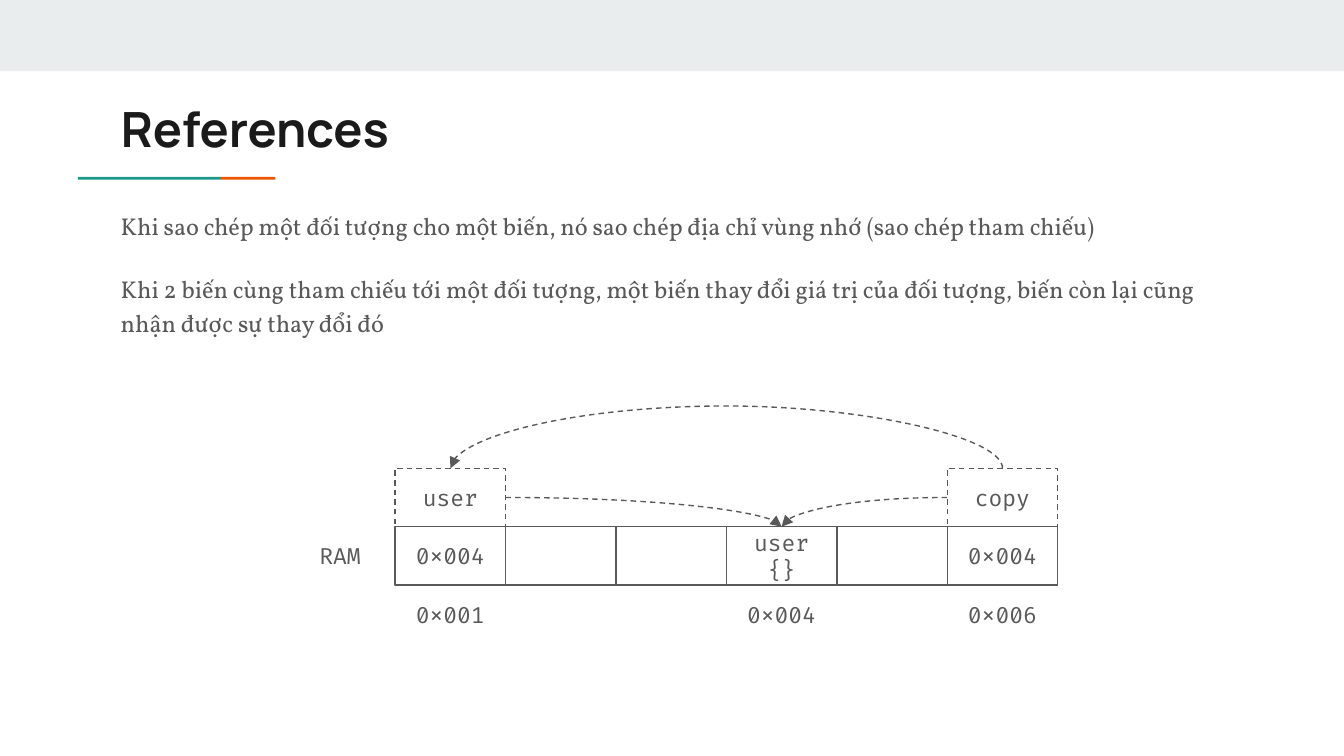
import pptx
import pptx.util
import pptx.dml.color
import pptx.enum.dml
import pptx.enum.shapes
import pptx.enum.text
import pptx.oxml
import pptx.oxml.ns

Pt = pptx.util.Pt
qn = pptx.oxml.ns.qn
KINDS = pptx.enum.shapes.MSO_CONNECTOR
ANCHOR = pptx.enum.text.MSO_ANCHOR
ALIGN = pptx.enum.text.PP_ALIGN
DASH = pptx.enum.dml.MSO_LINE.DASH

HUES = {"band": "E9EDEE", "teal": "1A9988", "flame": "EB5600",
        "ink": "1A1A1A", "gray": "595959"}
LEFT, TOP = 211.7, 282.2   # first memory cell
CELL, ROW = 59.15, 31.3    # cell width and height
PAD = 7.2


def hue(name):
    return pptx.dml.color.RGBColor.from_string(HUES[name])


class Deck:
    """Holds the style and the current slide; all lengths are points."""

    def __init__(self, wide, high):
        self.file = pptx.Presentation()
        self.file.slide_width, self.file.slide_height = Pt(wide), Pt(high)
        self.slide = self.file.slides.add_slide(self.file.slide_layouts[5])
        self.shapes = self.slide.shapes

    def font(self, para, face, size, color, bold=False):
        font = para.font
        font.name, font.size, font.bold = face, Pt(size), bold
        font.color.rgb = hue(color)

    def frame(self, shape, anchor):
        """Set insets, wrapping and anchor of the shape's text."""
        frame = shape.text_frame
        frame.margin_left = frame.margin_right = Pt(PAD)
        frame.margin_top = frame.margin_bottom = Pt(PAD)
        frame.word_wrap = True
        frame.auto_size = pptx.enum.text.MSO_AUTO_SIZE.NONE
        frame.vertical_anchor = anchor
        return frame

    def title(self, text, x, y, w, h):
        shape = self.shapes.title
        shape.left, shape.top, shape.width, shape.height = map(Pt, (x, y, w, h))
        frame = self.frame(shape, ANCHOR.TOP)
        frame.text = text
        para = frame.paragraphs[0]
        para.alignment = ALIGN.LEFT
        self.font(para, "Manrope", 26, "ink", True)

    def body(self, texts, x, y, w, h):
        frame = self.frame(self.shapes.add_textbox(*map(Pt, (x, y, w, h))), ANCHOR.TOP)
        frame.text = "\n".join(texts)
        for i, para in enumerate(frame.paragraphs):
            para.line_spacing = 1.15
            para.space_before = Pt(16 if i else 0)
            self.font(para, "Vollkorn", 13, "gray")

    def bar(self, color, x, y, w, h):
        shape = self.shapes.add_shape(
            pptx.enum.shapes.MSO_SHAPE.RECTANGLE, *map(Pt, (x, y, w, h)))
        shape.shadow.inherit = False
        shape.line.fill.background()
        if color:
            shape.fill.solid()
            shape.fill.fore_color.rgb = hue(color)
        else:
            shape.fill.background()
        return shape

    def label(self, shape, text):
        frame = self.frame(shape, ANCHOR.MIDDLE)
        frame.text = text
        para = frame.paragraphs[0]
        para.alignment = ALIGN.CENTER
        self.font(para, "Fira Code", 12, "gray")

    def stroke(self, line, dash):
        line.color.rgb, line.width = hue("gray"), Pt(0.75)
        if dash:
            line.dash_style = DASH

    def cell(self, col, row, text="", dash=False):
        shape = self.bar(None, LEFT + col * CELL, TOP + row * ROW, CELL, ROW)
        self.stroke(shape.line, dash)
        if text:
            self.label(shape, text)

    def note(self, col, row, text):
        spot = LEFT + col * CELL, TOP + row * ROW, CELL, ROW
        self.label(self.shapes.add_textbox(*map(Pt, spot)), text)

    def curve(self, x1, y1, x2, y2):
        """Add a dashed curved arrow and return it."""
        link = self.shapes.add_connector(KINDS.CURVE, *map(Pt, (x1, y1, x2, y2)))
        self.stroke(link.line, True)
        props = link._element.spPr
        tail = pptx.oxml.parse_xml(
            '<a:tailEnd xmlns:a="http://schemas.openxmlformats.org/'
            'drawingml/2006/main" type="triangle"/>')
        props.find(qn("a:ln")).append(tail)
        props.append(props.makeelement(qn("a:effectLst"), {}))
        return link

    def bend(self, x1, y1, x2, y2):
        """Leave sideways, arrive from above."""
        link = self.curve(x1, y1, x2, y2)
        link._element.spPr.find(qn("a:prstGeom")).set("prst", "curvedConnector2")

    def arch(self, x1, x2, y, rise):
        """Arc over from x1 back to x2 by a connector turned a quarter."""
        thin, span = 0.05, x1 - x2
        mid = (x1 + x2) / 2
        link = self.curve(mid, y - span / 2, mid + thin, y + span / 2)
        props = link._element.spPr
        props.find(qn("a:xfrm")).set("rot", str(90 * 60000))
        guides = props.find(qn("a:prstGeom")).get_or_add_avLst()
        ratio = round(-rise / thin * 100000)
        guides.append(guides.makeelement(
            qn("a:gd"), {"name": "adj1", "fmla": f"val {ratio}"}))


def main():
    deck = Deck(720, 405)
    deck.bar("band", 0, 0, 720, 38.2)
    deck.bar("teal", 41.8, 94.8, 76.6, 1.5)
    deck.bar("flame", 118.4, 94.8, 29.1, 1.5)
    deck.title("References", 57.6, 46.1, 605.5, 42.5)
    deck.body([
        "Khi sao chép một đối tượng cho một biến, nó sao chép địa chỉ vùng nhớ "
        "(sao chép tham chiếu)",
        "Khi 2 biến cùng tham chiếu tới một đối tượng, một biến thay đổi giá trị "
        "của đối tượng, biến còn lại cũng nhận được sự thay đổi đó",
    ], 57.6, 103.7, 605.5, 100)

    for col, text in enumerate(["0x004", "", "", "user {}", "", "0x004"]):
        deck.cell(col, 0, text)
    for col, name in [(0, "user"), (5, "copy")]:
        deck.cell(col, -1, name, dash=True)
    deck.note(-1, 0, "RAM")
    for col in (0, 3, 5):
        deck.note(col, 1, f"0x00{col + 1}")

    goal, side = LEFT + 3.5 * CELL, TOP - ROW / 2
    deck.bend(LEFT + CELL, side, goal, TOP)
    deck.bend(LEFT + 5 * CELL, side, goal, TOP)
    deck.arch(LEFT + 5.5 * CELL, LEFT + CELL / 2, TOP - ROW, 29.4)
    deck.file.save("out.pptx")


if __name__ == "__main__":
    main()
